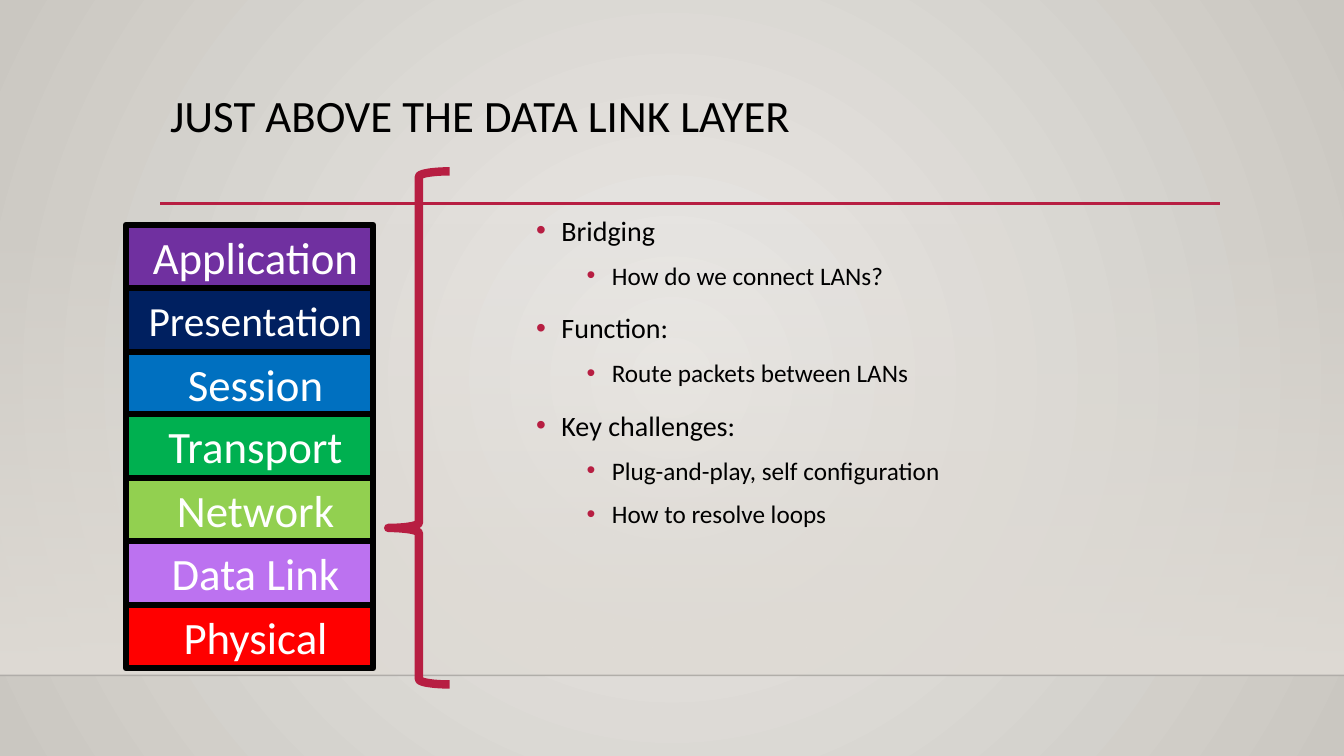
"""Build the slide on the layers just above the data link layer."""
from lxml import etree
from pptx import Presentation
from pptx.dml.color import RGBColor
from pptx.enum.shapes import MSO_CONNECTOR, MSO_SHAPE
from pptx.enum.text import MSO_ANCHOR, PP_ALIGN
from pptx.oxml import parse_xml
from pptx.oxml.ns import nsdecls, qn
from pptx.util import Pt

PX = 9144
FONT = "Calibri"
COLORS = {
    "text": "000000", "white": "FFFFFF", "accent": "B71E42", "floor": "000001",
    "bg_center": "ECEAE7", "bg_edge": "CAC7C1", "wall": "DFDBD5",
}
LAYERS = [
    ("Application", "7030A0", 32), ("Presentation", "002060", 29.6),
    ("Session", "0070C0", 32), ("Transport", "00B050", 32),
    ("Network", "92D050", 32), ("Data Link", "BC72F0", 32),
    ("Physical", "FF0000", 32),
]
BULLETS = [
    (0, "Bridging"), (1, "How do we connect LANs?"),
    (0, "Function:"), (1, "Route packets between LANs"),
    (0, "Key challenges:"), (1, "Plug-and-play, self configuration"),
    (1, "How to resolve loops"),
]


def set_gradient(fill, parent, start, end, alpha, direction):
    fill.gradient()
    old = parent.find(qn("a:gradFill"))
    parent.replace(old, parse_xml(
        f'<a:gradFill {nsdecls("a")} rotWithShape="1"><a:gsLst>'
        f'<a:gs pos="0"><a:srgbClr val="{start}"><a:alpha val="{alpha}"/></a:srgbClr></a:gs>'
        f'<a:gs pos="100000"><a:srgbClr val="{end}"/></a:gs>'
        f'</a:gsLst>{direction}</a:gradFill>'))


def style_run(p, size, color):
    font = p.runs[0].font
    font.name, font.size = FONT, Pt(size)
    font.color.rgb = RGBColor.from_string(COLORS[color])


prs = Presentation()
prs.slide_width, prs.slide_height = 1333 * PX, 750 * PX
slide = prs.slides.add_slide(prs.slide_layouts[6])
shapes = slide.shapes

bg_fill = slide.background.fill
bg_fill.gradient()
bg_pr = slide.background._cSld.find(qn("p:bg")).find(qn("p:bgPr"))
set_gradient(bg_fill, bg_pr, COLORS["bg_center"], COLORS["bg_edge"], 100000,
             '<a:path path="circle"><a:fillToRect l="50000" t="50000" r="50000" b="50000"/></a:path>')

wall = shapes.add_shape(MSO_SHAPE.RECTANGLE, 0, 221 * PX, 1333 * PX, 449 * PX)
wall.shadow.inherit = False
wall.line.fill.background()
set_gradient(wall.fill, wall._element.spPr, COLORS["wall"], COLORS["wall"], 0,
             '<a:lin ang="5400000" scaled="0"/>')

for x1, x2, y, color, width, alpha in [
    (0, 1333, 670, "floor", 1, 20000), (159, 1210, 202, "accent", 2.5, 100000),
]:
    rule = shapes.add_connector(MSO_CONNECTOR.STRAIGHT, x1 * PX, y * PX, x2 * PX, y * PX)
    rule.line.color.rgb = RGBColor.from_string(COLORS[color])
    rule.line.width = Pt(width)
    spPr = rule._element.spPr
    etree.SubElement(spPr.find(".//" + qn("a:srgbClr")), qn("a:alpha"), val=str(alpha))
    etree.SubElement(spPr, qn("a:effectLst"))

title = shapes.add_textbox(159 * PX, 88 * PX, 1050 * PX, 115 * PX)
tf = title.text_frame
tf.word_wrap = True
tf.text = "JUST ABOVE THE DATA LINK LAYER"
p = tf.paragraphs[0]
p.line_spacing = 0.9
style_run(p, 32, "text")

body = shapes.add_textbox(522 * PX, 200 * PX, 720 * PX, 476 * PX)
tf = body.text_frame
tf.word_wrap = True
for i, (level, text) in enumerate(BULLETS):
    p = tf.add_paragraph() if i else tf.paragraphs[0]
    p.text = text
    p.level = level
    p.line_spacing = 1.2
    p.space_before = Pt(5 if level else 10)
    style_run(p, 18 if level else 20, "text")
    pPr = p._p.get_or_add_pPr()
    pPr.set("marL", str((75 if level else 25) * PX))
    pPr.set("indent", str(-25 * PX))
    bullet_color = etree.SubElement(pPr, qn("a:buClr"))
    etree.SubElement(bullet_color, qn("a:srgbClr"), val=COLORS["accent"])
    etree.SubElement(pPr, qn("a:buFont"), typeface="Arial")
    etree.SubElement(pPr, qn("a:buChar"), char="•")

for i, (name, color, size) in enumerate(LAYERS):
    sp = shapes.add_shape(MSO_SHAPE.RECTANGLE, 125 * PX, (223 + round(62.8 * i)) * PX,
                          245 * PX, 63 * PX)
    sp.shadow.inherit = False
    sp.fill.solid()
    sp.fill.fore_color.rgb = RGBColor.from_string(color)
    sp.line.color.rgb = RGBColor.from_string(COLORS["text"])
    sp.line.width = Pt(4.5)
    tf = sp.text_frame
    tf.word_wrap = True
    tf.margin_left = tf.margin_right = 0
    tf.vertical_anchor = MSO_ANCHOR.MIDDLE
    tf.text = name
    p = tf.paragraphs[0]
    p.alignment = PP_ALIGN.CENTER
    p.space_before = Pt(6)
    pPr = p._p.get_or_add_pPr()
    pPr.set("marL", str(12 * PX))
    pPr.set("indent", "0")
    style_run(p, size, "white")

brace = shapes.add_shape(MSO_SHAPE.LEFT_BRACE, 385 * PX, 170 * PX, 61 * PX, 509 * PX)
brace.shadow.inherit = False
brace.fill.background()
brace.line.color.rgb = RGBColor.from_string(COLORS["accent"])
brace.line.width = Pt(6)
brace.adjustments[0], brace.adjustments[1] = 0.083, 0.695

prs.save("out.pptx")
